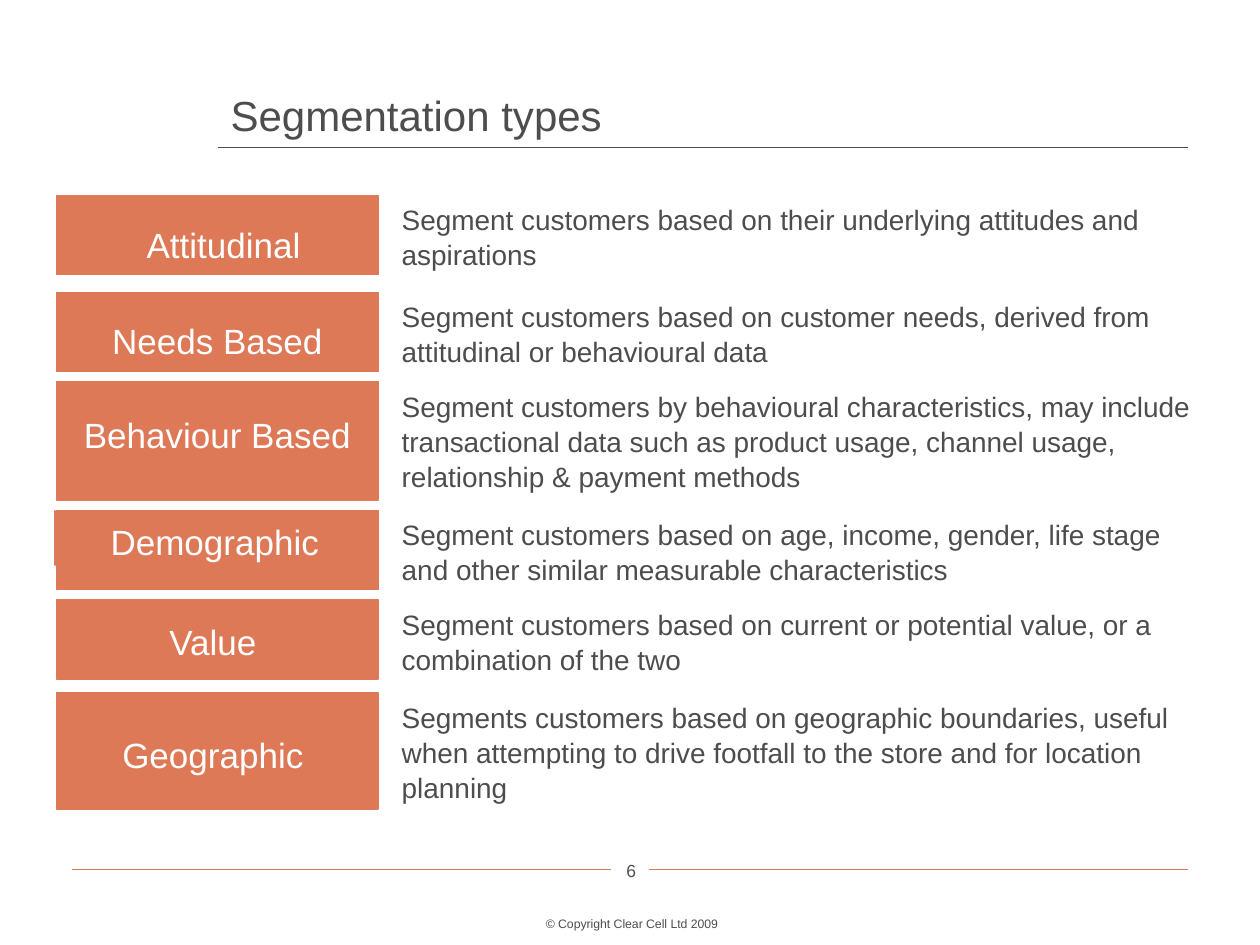
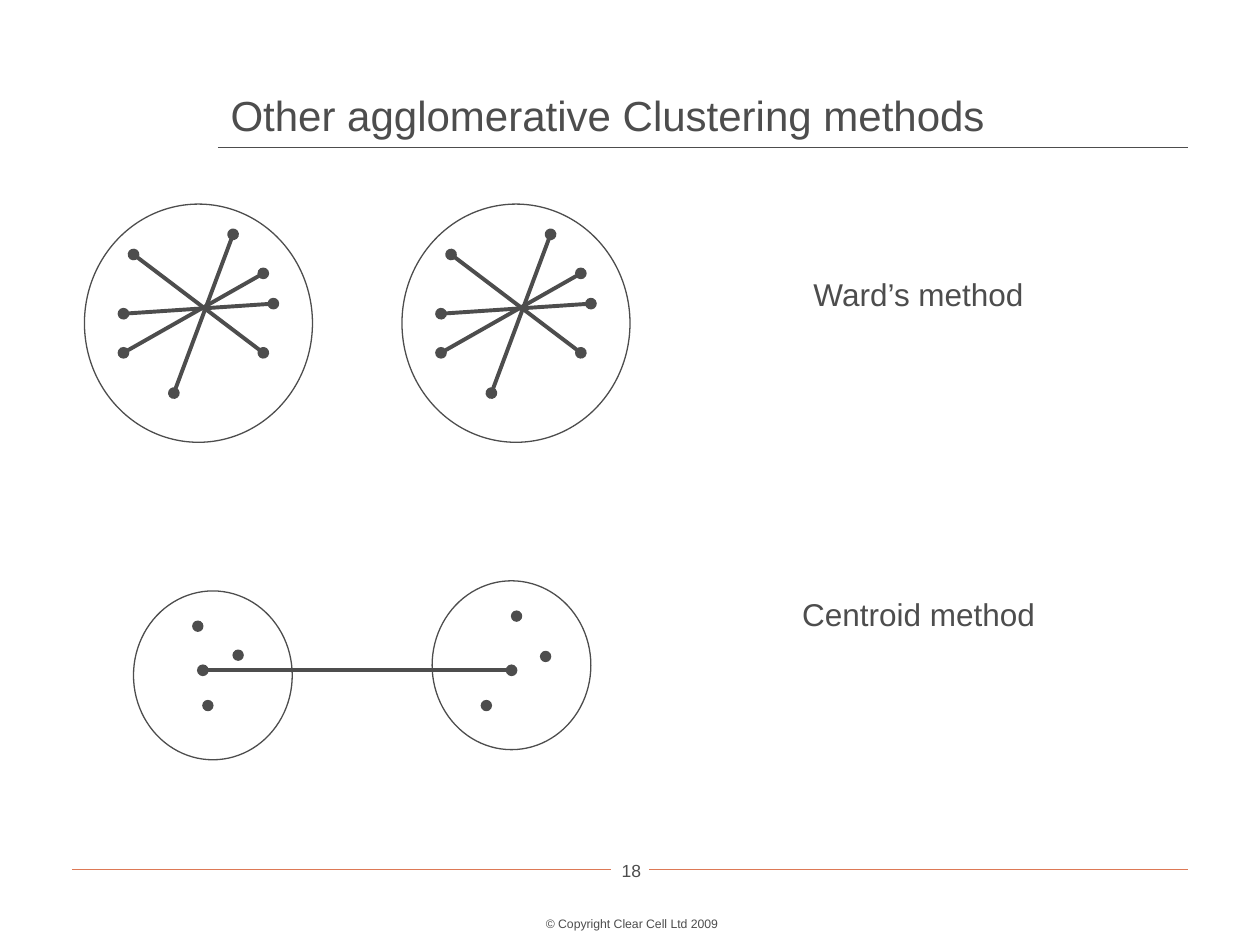
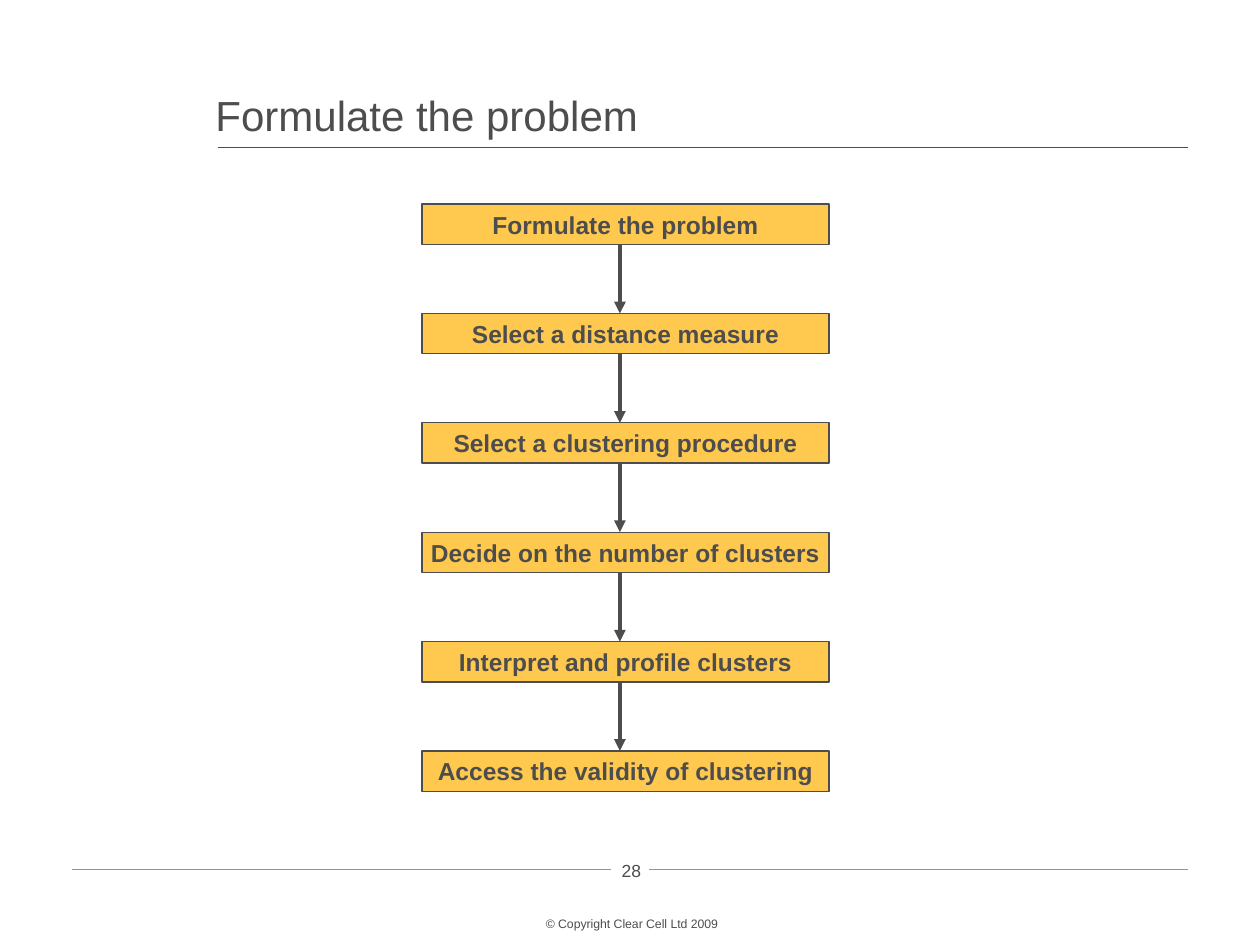
import dataclasses

import pptx
import pptx.dml.color
import pptx.enum.shapes
import pptx.enum.text
import pptx.oxml
import pptx.oxml.ns
import pptx.util

Inches = pptx.util.Inches
Pt = pptx.util.Pt
SHAPE = pptx.enum.shapes.MSO_SHAPE
ALIGN = pptx.enum.text.PP_ALIGN
ANCHOR = pptx.enum.text.MSO_ANCHOR


@dataclasses.dataclass(frozen=True)
class Theme:
    font: str = "Arial"
    ink: str = "4D4D4D"
    accent: str = "DD7956"
    step: str = "FFC94F"
    white: str = "FFFFFF"
    title: float = 24
    label: float = 20
    method: float = 18
    body: float = 16
    flow: float = 14
    number: float = 10
    copyright: float = 7
    thin: float = 0.75
    thick: float = 2.25
    spacing: float = 1.04


THEME = Theme()

SEGMENTS = [
    ("Attitudinal", 1.55, 0.63, (0.15, 0.14, 2.35, 0.44), 0.07,
     "Segment customers based on their underlying attitudes and aspirations"),
    ("Needs Based", 2.32, 0.63, (0, 0.13, 2.55, 0.44), 0.07,
     "Segment customers based on customer needs, derived from attitudinal or behavioural data"),
    ("Behaviour Based", 3.03, 0.94, (0, 0.08, 2.55, 0.55), 0.16,
     "Segment customers by behavioural characteristics, may include transactional data "
     "such as product usage, channel usage, relationship & payment methods"),
    ("Demographic", 4.05, 0.63, (-0.02, 0, 2.55, 0.44), 0.07,
     "Segment customers based on age, income, gender, life stage and other similar "
     "measurable characteristics"),
    ("Value", 4.76, 0.63, (0, 0.08, 2.48, 0.44), 0.07,
     "Segment customers based on current or potential value, or a combination of the two"),
    ("Geographic", 5.5, 0.92, (0, 0.24, 2.48, 0.44), 0.07,
     "Segments customers based on geographic boundaries, useful when attempting to drive "
     "footfall to the store and for location planning"),
]

WARD_SPOKES = [
    ((0.31, 0.87), (1.5, 0.79)),
    ((0.39, 0.4), (1.42, 1.18)),
    ((0.71, 1.5), (1.18, 0.24)),
    ((0.31, 1.18), (1.42, 0.55)),
]

STEPS = [
    "Formulate the problem",
    "Select a distance measure",
    "Select a clustering procedure",
    "Decide on the number of clusters",
    "Interpret and profile clusters",
    "Access the validity of clustering",
]


def rgb(color):
    return pptx.dml.color.RGBColor.from_string(color)


def emu(box):
    return [Inches(v) for v in box]


def write(sp, text, size, color=THEME.ink, align=ALIGN.LEFT, anchor=ANCHOR.TOP,
          bold=False, wrap=True, top=0.05, spacing=None):
    tf = sp.text_frame
    tf.word_wrap = wrap
    tf.vertical_anchor = anchor
    tf.margin_left = tf.margin_right = Inches(0.1)
    tf.margin_top, tf.margin_bottom = Inches(top), Inches(0.05)
    p = tf.paragraphs[0]
    p.alignment = align
    p.line_spacing = spacing
    r = p.add_run()
    r.text = text
    r.font.name = THEME.font
    r.font.size = Pt(size)
    r.font.bold = bold
    r.font.color.rgb = rgb(color)


def add_text(s, box, text, size, **style):
    write(s.shapes.add_textbox(*emu(box)), text, size, **style)


def add_shape(s, kind, box, fill=None, line=None):
    sp = s.shapes.add_shape(kind, *emu(box))
    sp.shadow.inherit = False
    if fill:
        sp.fill.solid()
        sp.fill.fore_color.rgb = rgb(fill)
    else:
        sp.fill.background()
    if line:
        sp.line.color.rgb = rgb(line)
        sp.line.width = Pt(THEME.thin)
    else:
        sp.line.fill.background()
    return sp


def add_line(s, start, end, color=THEME.ink, width=THEME.thin, head=None, tail=None):
    line = s.shapes.add_connector(
        pptx.enum.shapes.MSO_CONNECTOR.STRAIGHT, *emu(start + end))
    line.line.color.rgb = rgb(color)
    line.line.width = Pt(width)
    ln = line.line._get_or_add_ln()
    for tag, kind in (("a:headEnd", head), ("a:tailEnd", tail)):
        if kind:
            end_mark = pptx.oxml.parse_xml(
                f'<{tag} {pptx.oxml.ns.nsdecls("a")} type="{kind}"/>')
            ln.append(end_mark)
    line._element.spPr.append(
        pptx.oxml.parse_xml(f'<a:effectLst {pptx.oxml.ns.nsdecls("a")}/>'))


def add_footer(s, number):
    for left in (0.57, 5.15):
        add_line(s, (left, 6.9), (left + 4.28, 6.9), THEME.accent)
    add_text(s, (4.8, 6.78, 0.42, 0.33), str(number), THEME.number, align=ALIGN.CENTER)
    add_text(s, (3.67, 7.22, 2.69, 0.22), "© Copyright Clear Cell Ltd 2009",
             THEME.copyright, align=ALIGN.CENTER)


def new_slide(prs, title, number, title_box=(1.73, 0.6, 7.78, 0.56)):
    s = prs.slides.add_slide(prs.slide_layouts.get_by_name("Title Only"))
    sp = s.shapes.title
    sp.left, sp.top, sp.width, sp.height = emu(title_box)
    write(sp, title, THEME.title, anchor=ANCHOR.BOTTOM)
    add_line(s, (1.73, 1.17), (9.43, 1.17))
    add_footer(s, number)
    return s


def segment_row(s, box, label, label_box, label_top, text):
    left, top, width, height = box
    add_shape(s, SHAPE.RECTANGLE, (left, top, 2.55, height), THEME.accent, THEME.accent)
    dx, dy, label_width, label_height = label_box
    sp = add_shape(s, SHAPE.RECTANGLE,
                   (left + dx, top + dy, label_width, label_height), THEME.accent)
    write(sp, label, THEME.label, THEME.white, ALIGN.CENTER,
          top=label_top, spacing=THEME.spacing)
    sp = add_shape(s, SHAPE.RECTANGLE, (left + 2.64, top, width - 2.64, height),
                   line=THEME.white)
    write(sp, text, THEME.body, spacing=THEME.spacing)


def segmentation_slide(prs):
    s = new_slide(prs, "Segmentation types", 6)
    for label, top, height, label_box, label_top, text in SEGMENTS:
        segment_row(s, (0.45, top, 9.24, height), label, label_box, label_top, text)


def ward_cluster(s, box):
    left, top = box[:2]
    add_shape(s, SHAPE.OVAL, box, line=THEME.ink)
    for (x1, y1), (x2, y2) in WARD_SPOKES:
        add_line(s, (left + x1, top + y1), (left + x2, top + y2),
                 width=THEME.thick, head="oval", tail="oval")


def centroid_cluster(s, box, points):
    left, top = box[:2]
    add_shape(s, SHAPE.OVAL, box, line=THEME.ink)
    for x, y in points:
        add_shape(s, SHAPE.OVAL, (left + x, top + y, 0.08, 0.08), THEME.ink, THEME.ink)


def clustering_slide(prs):
    s = new_slide(prs, "Other agglomerative Clustering methods", 18)
    for left in (0.67, 3.19):
        ward_cluster(s, (left, 1.62, 1.81, 1.89))
    centroid_cluster(s, (1.06, 4.69, 1.26, 1.34),
                     [(0.47, 0.24), (0.79, 0.47), (0.55, 0.87)])
    centroid_cluster(s, (3.43, 4.61, 1.26, 1.34),
                     [(0.63, 0.24), (0.86, 0.56), (0.39, 0.95)])
    add_line(s, (1.61, 5.32), (4.06, 5.32), width=THEME.thick, head="oval", tail="oval")
    for top, method in ((2.13, "Ward’s method"), (4.67, "Centroid method")):
        add_text(s, (5.08, top, 4.42, 0.39), method, THEME.method, align=ALIGN.CENTER)


def flow(s, box, steps, step_height=0.32):
    left, top, width, height = box
    pitch = (height - step_height) / (len(steps) - 1)
    arrow_x = left + 1.57
    for i, step in enumerate(steps):
        y = top + i * pitch
        sp = add_shape(s, SHAPE.RECTANGLE, (left, y, width, step_height),
                       THEME.step, THEME.ink)
        write(sp, step, THEME.flow, align=ALIGN.CENTER, anchor=ANCHOR.MIDDLE,
              bold=True, wrap=False)
        if i:
            add_line(s, (arrow_x, y - pitch + step_height), (arrow_x, y),
                     width=THEME.thick, tail="triangle")


def problem_slide(prs):
    s = new_slide(prs, "Formulate the problem", 28, (1.61, 0.6, 8.39, 0.56))
    flow(s, (3.35, 1.62, 3.23, 4.66), STEPS)


def main():
    prs = pptx.Presentation()
    prs.slide_width, prs.slide_height = Inches(10), Inches(7.5)
    segmentation_slide(prs)
    clustering_slide(prs)
    problem_slide(prs)
    prs.save("out.pptx")


if __name__ == "__main__":
    main()
